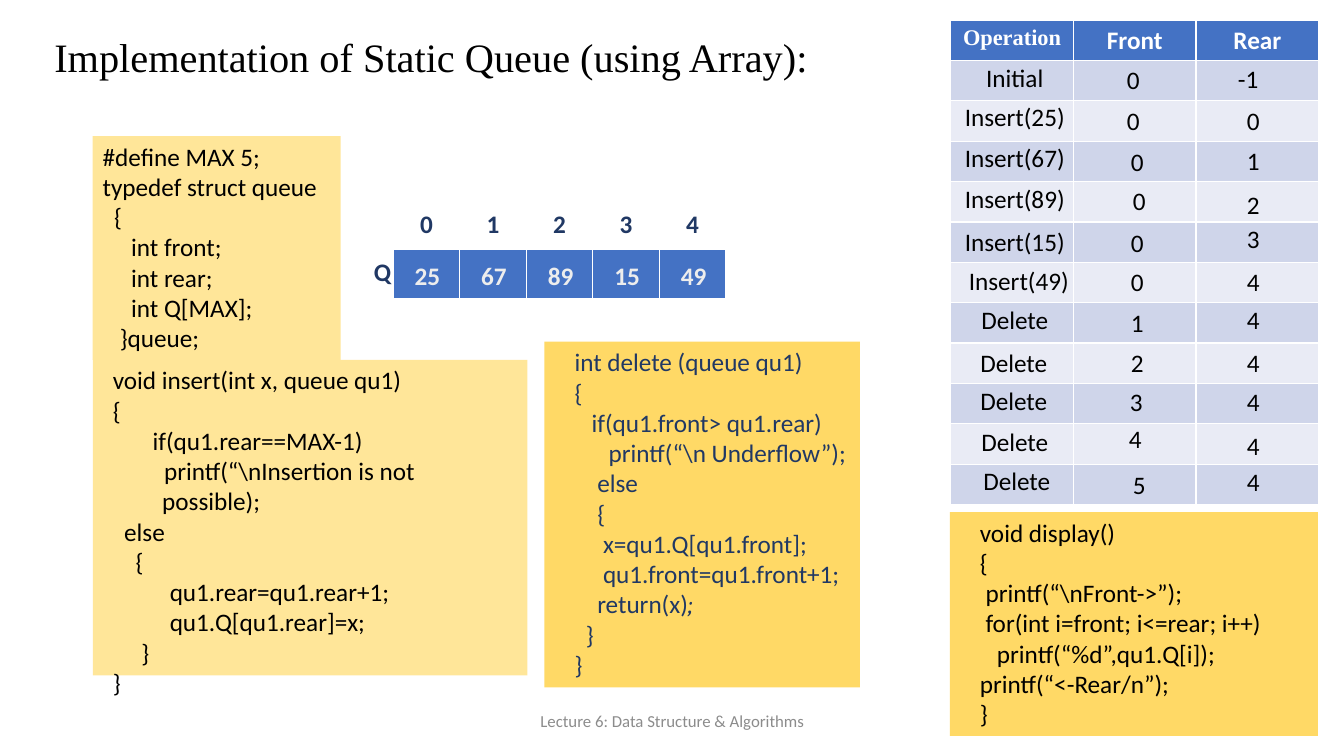
"""Build the slide on a static queue that is kept in an array."""
from pptx import Presentation
from pptx.dml.color import RGBColor
from pptx.enum.shapes import MSO_SHAPE
from pptx.enum.text import MSO_ANCHOR, PP_ALIGN
from pptx.util import Inches, Pt

HUES = {
    "black": "000000", "white": "FFFFFF", "navy": "203864", "blue": "4472C4",
    "gray": "8C8C8C", "pale": "EDEDED", "cream": "FFE699", "gold": "FFD966",
    "odd": "CFD5EA", "even": "E9EBF5",
}
SPACE = 0.0565
PITCH = 0.66

STRUCT = """#define MAX 5;
typedef struct queue
  {
     int front;
     int rear;
     int Q[MAX];
   }queue;"""

INSERT = """void insert(int x, queue qu1)
{
       if(qu1.rear==MAX-1)
         printf(“\\nInsertion is not possible);
  else
    {
          qu1.rear=qu1.rear+1;
          qu1.Q[qu1.rear]=x;
     }
}"""

DELETE = """int delete (queue qu1)
{
   if(qu1.front> qu1.rear)
      printf(“\\n Underflow”);
    else
    {
     x=qu1.Q[qu1.front];
     qu1.front=qu1.front+1;
    return(x)|;
  }
}"""

SHOW = """void display()
{
 printf(“\\nFront->”);
 for(int i=front; i<=rear; i++)
   printf(“%d”,qu1.Q[i]);
printf(“<-Rear/n”);
}"""

STEPS = [
    (("Initial", 9.43, 0.57), ("0", 11.01, 0.59), ("-1", 12.15, 0.58)),
    (("Insert(25)", 9.43, 0.96), ("0", 11.01, 1.0), ("0", 12.2, 1.0)),
    (("Insert(67)", 9.43, 1.36), ("0", 11.05, 1.4), ("1", 12.2, 1.39)),
    (("Insert(89)", 9.43, 1.77), ("0", 11.07, 1.79), ("2", 12.2, 1.83)),
    (("Insert(15)", 9.43, 2.2), ("0", 11.05, 2.21), ("3", 12.2, 2.17)),
    (("Insert(49)", 9.47, 2.58), ("0", 11.05, 2.59), ("4", 12.2, 2.59)),
    (("Delete", 9.43, 2.97), ("1", 11.05, 3.0), ("4", 12.2, 2.97)),
    (("Delete", 9.42, 3.4), ("2", 11.05, 3.4), ("4", 12.2, 3.4)),
    (("Delete", 9.42, 3.77), ("3", 11.04, 3.78), ("4", 12.2, 3.78)),
    (("Delete", 9.43, 4.18), ("4", 11.03, 4.15), ("4", 12.2, 4.22)),
    (("Delete", 9.45, 4.57), ("5", 11.07, 4.61), ("4", 12.2, 4.58)),
]


def tint(hue):
    """Return the colour that a name stands for."""
    return RGBColor.from_string(HUES[hue])


def style(line, hue, size=18, bold=False, face="Calibri"):
    """Format every run of a paragraph."""
    for run in line.runs:
        font = run.font
        font.size, font.bold, font.name = Pt(size), bold, face
        font.color.rgb = tint(hue)


def label(slide, text, box, hue="black", align=PP_ALIGN.CENTER, gap=0.1,
          anchor=MSO_ANCHOR.TOP, **look):
    """Add one line of text in a box."""
    frame = slide.shapes.add_textbox(*map(Inches, box)).text_frame
    frame.word_wrap, frame.vertical_anchor = True, anchor
    frame.margin_left = frame.margin_right = Inches(gap)
    frame.text = text
    line = frame.paragraphs[0]
    line.alignment = align
    style(line, hue, **look)
    return line


def code(slide, text, box, fill, hue="black", left=0, hang=0):
    """Add a filled block of code, with leading spaces made into indents."""
    shape = slide.shapes.add_shape(MSO_SHAPE.RECTANGLE, *map(Inches, box))
    shape.shadow.inherit = False
    shape.fill.solid()
    shape.fill.fore_color.rgb = tint(fill)
    shape.line.fill.background()
    frame = shape.text_frame
    frame.word_wrap, frame.vertical_anchor = True, MSO_ANCHOR.TOP
    frame.text = text.replace("|;", "")
    for line, row in zip(frame.paragraphs, text.split("\n")):
        body = row.lstrip()
        start, mark, end = body.partition("|")
        line.text = start
        line.alignment = PP_ALIGN.LEFT
        if mark:
            line.add_run().text = end
        style(line, hue)
        if mark:
            line.runs[-1].font.name = "Cambria"
            line.runs[-1].font.italic = True
        props = line._p.get_or_add_pPr()
        props.set("marL", str(Inches(left)))
        props.set("indent", str(Inches((len(row) - len(body)) * SPACE - hang)))


def grid(slide, box, rows, cols, fills):
    """Add a table whose cells are filled by a rule."""
    table = slide.shapes.add_table(rows, cols, *map(Inches, box)).table
    table.horz_banding = False
    for r in range(rows):
        for c in range(cols):
            cell, hue = table.cell(r, c), fills(r, c)
            if hue:
                cell.fill.solid()
                cell.fill.fore_color.rgb = tint(hue)
            else:
                cell.fill.background()
    return table


def head(table, words, hue):
    """Write bold centred words in the first row."""
    for c, word in enumerate(words):
        line = table.cell(0, c).text_frame.paragraphs[0]
        line.text = word
        line.alignment = PP_ALIGN.CENTER
        style(line, hue, bold=True)


def queue(slide):
    """Draw the array with its index row and values."""
    grid(slide, (3.9, 2.47, 8 * PITCH, 0.49), 1, 8,
         lambda r, c: "blue" if c < 5 else None)
    marks = grid(slide, (3.9, 2.03, 8 * PITCH, 0.4), 1, 8, lambda r, c: None)
    head(marks, "01234", "navy")
    label(slide, "Q", (3.61, 2.49, 0.27, 0.4), "navy", PP_ALIGN.RIGHT, 0,
          bold=True)
    for i, value in enumerate(("25", "67", "89", "15", "49")):
        label(slide, value, (4.07 + i * PITCH, 2.53, 0.34, 0.38), "pale",
              gap=0, bold=True)


def trace(slide):
    """Draw the table of steps with front and rear."""
    table = grid(slide, (9.43, 0.2, 3.65, 4.8), 12, 3,
                 lambda r, c: ("even", "odd")[r % 2] if r else "blue")
    head(table, ("Operation", "Front", "Rear"), "white")
    style(table.cell(0, 0).text_frame.paragraphs[0], "white", 16, True,
          "Times New Roman")
    for step in STEPS:
        for (text, left, top), width in zip(step, (1.27, 0.46, 0.46)):
            label(slide, text, (left, top, width, 0.4))


def main():
    """Build and save the slide."""
    deck = Presentation()
    deck.slide_width, deck.slide_height = Inches(13.33), Inches(7.5)
    slide = deck.slides.add_slide(deck.slide_layouts[6])
    title = label(slide, "Implementation of Static Queue (using Array):",
                  (0.44, 0.2, 8.48, 0.78), align=PP_ALIGN.LEFT,
                  anchor=MSO_ANCHOR.MIDDLE, size=28.8, face="Times New Roman")
    title.line_spacing = 0.9
    label(slide, "Lecture 6: Data Structure & Algorithms",
          (4.42, 6.95, 4.5, 0.4), "gray", anchor=MSO_ANCHOR.MIDDLE, size=12)
    code(slide, STRUCT, (0.92, 1.35, 2.46, 2.22), "cream")
    queue(slide)
    code(slide, INSERT, (0.92, 3.57, 4.31, 3.13), "cream", left=0.59, hang=0.49)
    code(slide, DELETE, (5.4, 3.39, 3.13, 3.43), "gold", "navy", left=0.2)
    trace(slide)
    code(slide, SHOW, (9.42, 5.08, 3.65, 2.22), "gold", left=0.2)
    deck.save("out.pptx")


main()
